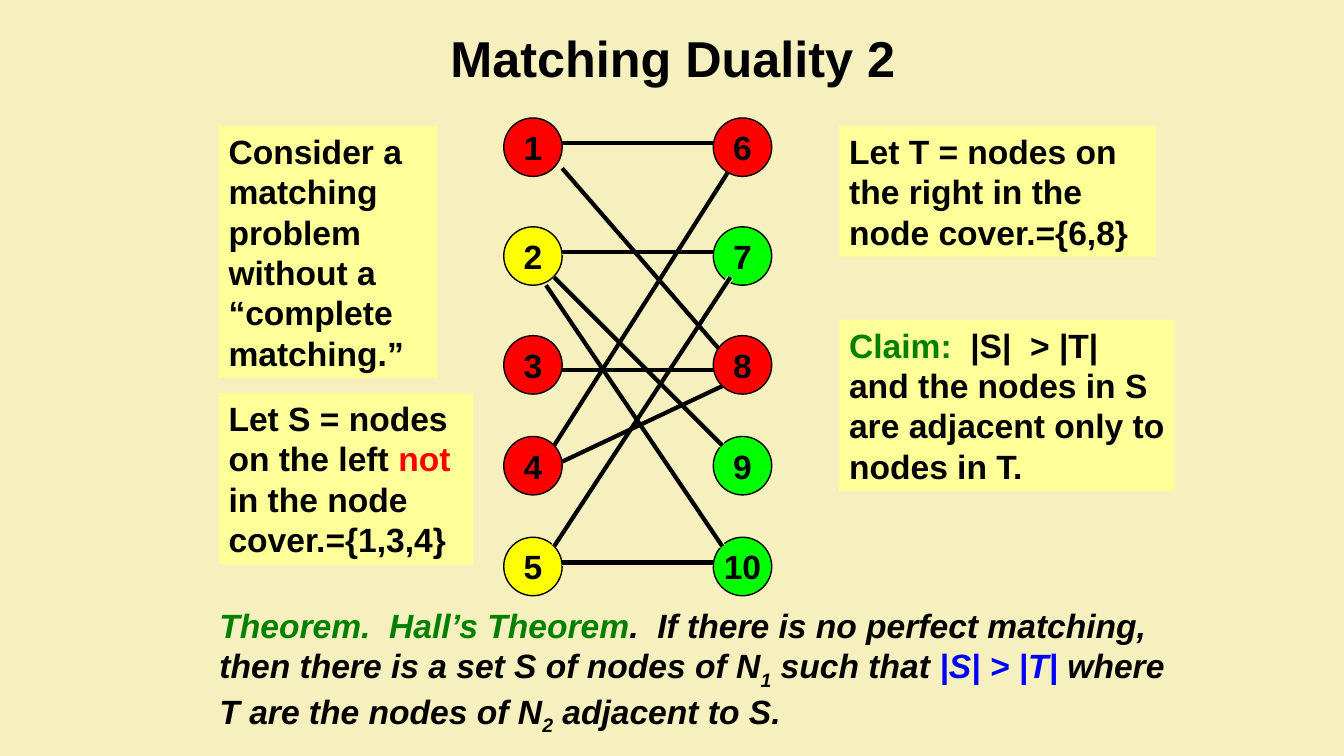
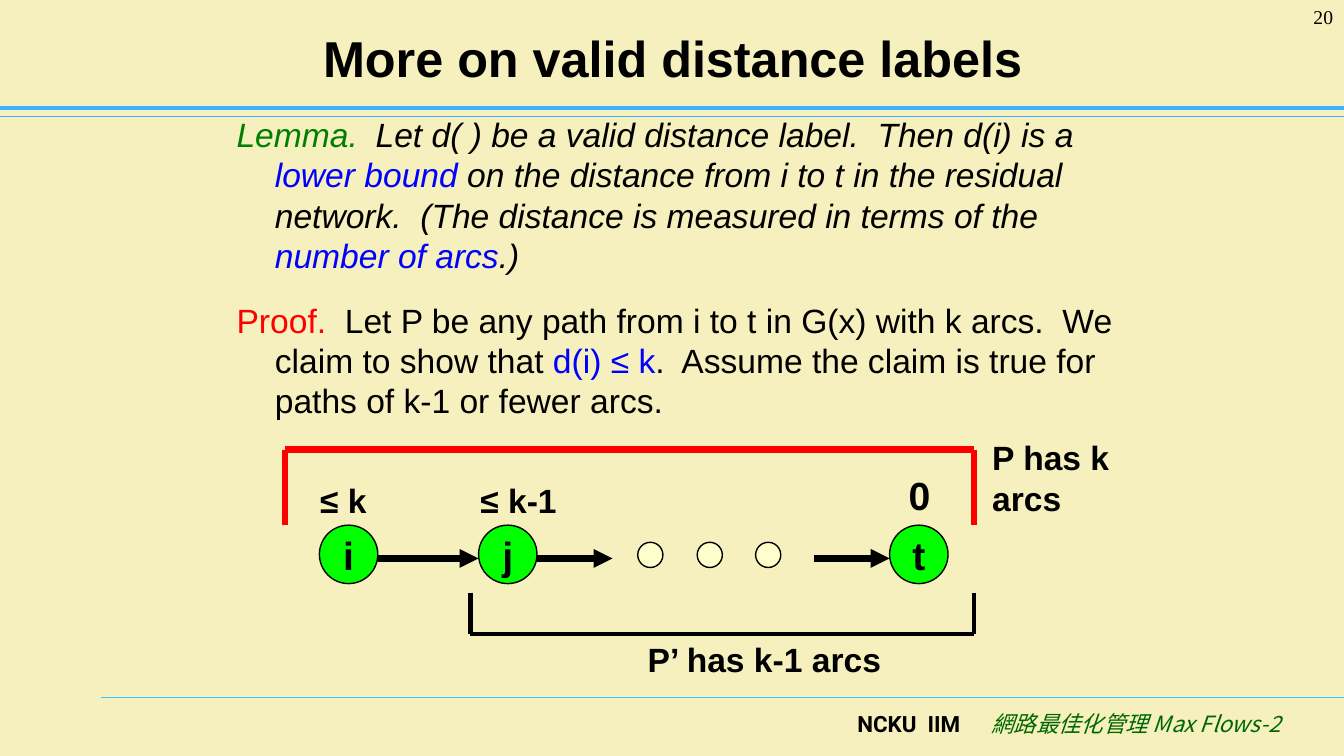
from lxml.etree import SubElement
from pptx import Presentation
from pptx.dml.color import RGBColor
from pptx.enum.shapes import MSO_CONNECTOR as LINK, MSO_SHAPE as SHAPE
from pptx.enum.text import MSO_ANCHOR as ANCHOR, PP_ALIGN as ALIGN
from pptx.oxml.ns import qn
from pptx.util import Pt

SCALE = 9144  # EMU per px, 100 px to the inch
WIDE, HIGH = 1334, 750
BLACK, RED, GREEN, BLUE = "000000", "FF0000", "00FF00", "0000FF"
CREAM, YELLOW, NOTE, DOT = "F5F0BD", "FFFF00", "FFFF99", "FFFFCC"
LEAF, PINE, SKY, AQUA = "008000", "006600", "3DB0FF", "33CCFF"
BASE = dict(size=24, font="Arial", color=BLACK, bold=True, italic=False, sub=False)


def px(*nums):
    return [num * SCALE for num in nums]


def rgb(code):
    return RGBColor.from_string(code)


def paint(fill, code):
    fill.solid()
    fill.fore_color.rgb = rgb(code)


def write(par, runs, **base):
    """Add runs; each is a string or a (string, style changes) pair."""
    for item in runs:
        text, change = (item, {}) if isinstance(item, str) else item
        look = {**BASE, **base, **change}
        run = par.add_run()
        run.text = text
        font = run.font
        font.size, font.name = Pt(look["size"]), look["font"]
        font.bold, font.italic = look["bold"], look["italic"]
        font.color.rgb = rgb(look["color"])
        props = run._r.get_or_add_rPr()
        SubElement(props, qn("a:ea")).set("typeface", look["font"])
        if look["sub"]:
            props.set("baseline", "-25000")


class Deck:
    def __init__(self):
        self.prs = Presentation()
        self.prs.slide_width, self.prs.slide_height = px(WIDE, HIGH)
        paint(self.prs.slide_master.background.fill, CREAM)

    def start(self, title):
        self.slide = self.prs.slides.add_slide(self.prs.slide_layouts[5])
        self.shapes = self.slide.shapes
        head = self.shapes.title
        head.left, head.top, head.width, head.height = px(68, 13, 1200, 87)
        frame = head.text_frame
        frame.vertical_anchor = ANCHOR.MIDDLE
        par = frame.paragraphs[0]
        par.alignment = ALIGN.CENTER
        write(par, [title], size=36)

    def band(self, number):
        """Draw the head rules, the footer and the slide number."""
        self.line((100, 692), (WIDE, 692), AQUA, 0.75)
        for y, width in ((116, 0.75), (107, 2.5)):
            self.line((0, y), (WIDE, y), SKY, width)
        right = ALIGN.RIGHT
        self.text((763, 700, 200, 50), ["NCKU  IIM"], right, size=16, font="Roboto")
        self.text((881, 700, 400, 50), ["網路最佳化管理 Max Flows-2"], right, size=16,
                  font="Noto Sans CJK SC", color=PINE, bold=False, italic=True)
        self.text((1222, 0, 111, 50), [number], right, size=14,
                  font="Times New Roman", bold=False)

    def text(self, box, runs, align=ALIGN.LEFT, fill=None, **style):
        shape = self.shapes.add_textbox(*px(*box))
        if fill:
            paint(shape.fill, fill)
        frame = shape.text_frame
        frame.word_wrap = True
        par = frame.paragraphs[0]
        par.alignment = align
        write(par, runs, **style)
        return frame

    def hang(self, box, paras, gap, tab):
        """Write paragraphs with a hanging indent and one tab stop."""
        frame = self.text(box, [])
        for count, (runs, style) in enumerate(paras):
            par = frame.add_paragraph() if count else frame.paragraphs[0]
            if count:
                par.space_before = Pt(gap)
            props = par._p.get_or_add_pPr()
            props.set("marL", str(38 * SCALE))
            props.set("indent", str(-38 * SCALE))
            stops = SubElement(props, qn("a:tabLst"))
            SubElement(stops, qn("a:tab"), pos=str(tab * SCALE), algn="l")
            write(par, runs, bold=False, **style)

    def node(self, x, y, fill, label="", side=58, size=24):
        shape = self.shapes.add_shape(SHAPE.OVAL, *px(x, y, side, side))
        shape.shadow.inherit = False
        paint(shape.fill, fill)
        shape.line.color.rgb = rgb(BLACK)
        shape.line.width = Pt(1)
        if label:
            frame = shape.text_frame
            frame.word_wrap = False
            frame.vertical_anchor = ANCHOR.MIDDLE
            par = frame.paragraphs[0]
            par.alignment = ALIGN.CENTER
            write(par, [label], size=size)

    def line(self, start, end, color, width, arrow=False):
        link = self.shapes.add_connector(LINK.STRAIGHT, *px(*start, *end))
        link.line.color.rgb = rgb(color)
        link.line.width = Pt(width)
        if arrow:
            SubElement(link.line._get_or_add_ln(), qn("a:tailEnd"), type="triangle")
        SubElement(link._element.spPr, qn("a:effectLst"))

    def chain(self, points, color, width):
        for start, end in zip(points, points[1:]):
            self.line(start, end, color, width)


def duality(deck):
    deck.start("Matching Duality 2")
    rows = (117, 225, 333, 433, 533)
    fills = (RED, YELLOW, RED, RED, YELLOW, RED, GREEN, RED, GREEN, GREEN)
    spots = [(x, y) for x in (500, 708) for y in rows]
    nodes = [(*spot, fill, str(num))
             for num, (spot, fill) in enumerate(zip(spots, fills), 1)]
    edges = (
        ((558, 250), (708, 250)), ((550, 275), (717, 442)),
        ((558, 558), (708, 558)), ((550, 542), (725, 275)),
        ((558, 142), (708, 142)), ((558, 167), (717, 350)),
        ((558, 367), (717, 367)), ((550, 442), (725, 167)),
        ((558, 458), (717, 383)), ((542, 283), (717, 542)),
    )
    for node in nodes:
        if node[2] != RED:
            deck.node(*node)
    for color, width in ((CREAM, 4.5), (BLACK, 3)):
        for start, end in edges:
            deck.line(start, end, color, width)
    for node in nodes:
        if node[2] == RED:
            deck.node(*node)

    notes = (
        ((217, 125, 217, 250),
         ["Consider a matching problem without a “complete matching.”"]),
        ((217, 390, 253, 170),
         ["Let S = nodes on the left ", ("not", dict(color=RED)),
          " in the node cover.={1,3,4}"]),
        ((833, 125, 314, 130),
         ["Let T = nodes on the right in the node cover.={6,8}"]),
        ((833, 317, 333, 170),
         [("Claim:", dict(color=LEAF)),
          "  |S|  > |T| and the nodes in S are adjacent only to nodes in T."]),
    )
    for box, runs in notes:
        deck.text(box, runs, fill=NOTE)
    sub = dict(sub=True)
    deck.text((208, 595, 958, 141), [
        ("Theorem.  Hall’s Theorem", dict(color=LEAF)),
        ".  If there is no perfect matching, then there is a set S of nodes of N",
        ("1", sub), " such that ", ("|S| > |T|", dict(color=BLUE)),
        " where T are the nodes of N", ("2", sub), " adjacent to S.",
    ], italic=True)


def labels(deck):
    deck.start("More on valid distance labels")
    deck.band("20")
    blue = dict(color=BLUE)
    lemma = [
        ("Lemma.", dict(color=LEAF)),
        "\tLet d( ) be a valid distance label.  Then d(i) is a ",
        ("lower bound", blue),
        " on the distance from i to t in the residual network.  "
        "(The distance is measured in terms of the ",
        ("number of arcs", blue), ".)",
    ]
    proof = [
        ("Proof. ", dict(color=RED)),
        " Let P be any path from i to t in G(x) with k arcs.  "
        "We claim to show that ",
        ("d(i) ≤ k", blue),
        ".  Assume the claim is true for paths of k-1 or fewer arcs.",
    ]
    deck.hang((225, 108, 908, 350), [(lemma, dict(italic=True)), (proof, {})],
              gap=17.5, tab=157)

    for x, label in ((317, "i"), (475, "j"), (883, "t")):
        deck.node(x, 521, GREEN, label, size=28)
    for x in (633, 692, 750):
        deck.node(x, 538, DOT, side=25)
    for start, end in ((375, 475), (533, 608), (808, 883)):
        deck.line((start, 554), (end, 554), BLACK, 4.5, arrow=True)
    deck.chain([(467, 588), (467, 629), (967, 629), (967, 588)], BLACK, 3)
    deck.chain([(283, 521), (283, 446), (967, 446), (967, 521)], RED, 4.5)

    for box, label, size in (
        ((308, 471, 117, 50), "≤ k", 24),
        ((467, 471, 117, 50), "≤ k-1", 24),
        ((892, 463, 75, 57), "0", 28),
        ((975, 429, 192, 90), "P has k arcs", 24),
        ((633, 629, 308, 50), "P’ has k-1 arcs", 24),
    ):
        deck.text(box, [label], size=size)


def main():
    deck = Deck()
    duality(deck)
    labels(deck)
    deck.prs.save("out.pptx")


if __name__ == "__main__":
    main()
